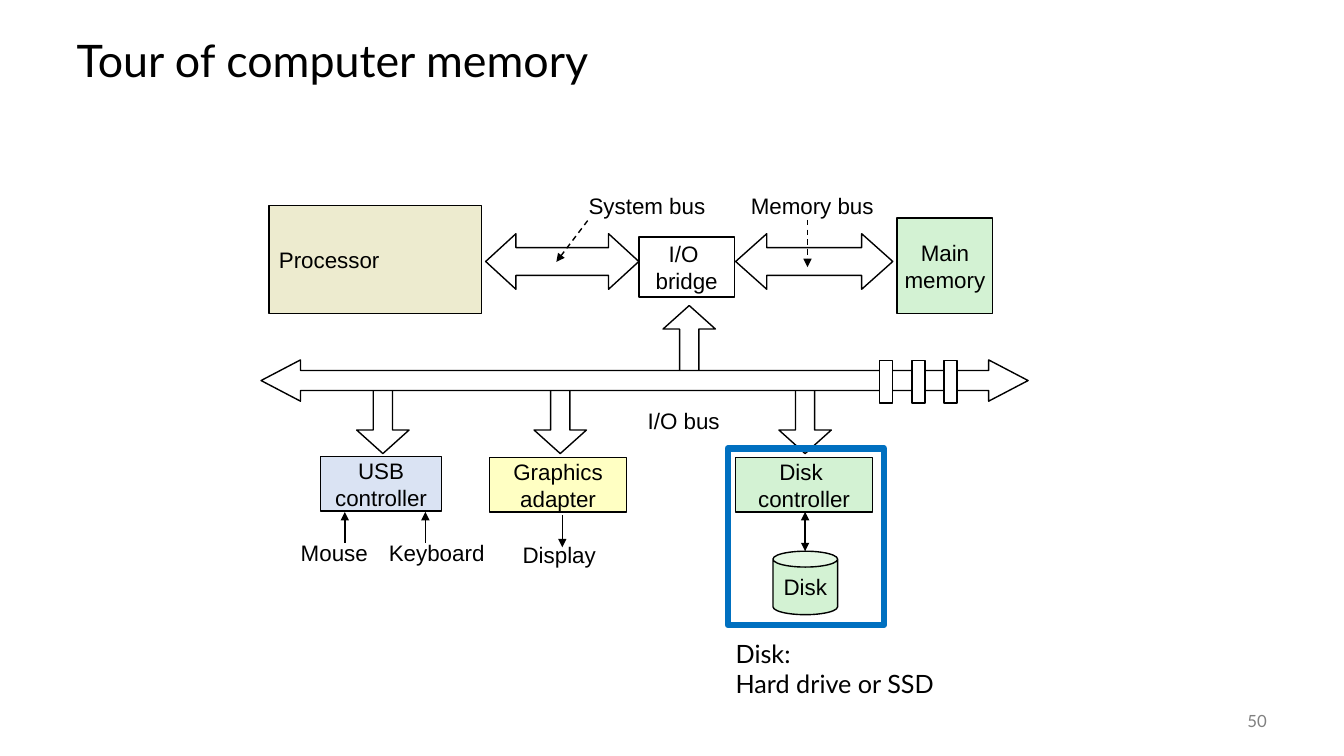
"""Build the slide on the tour of computer memory."""
from lxml import etree
from pptx import Presentation
from pptx.dml.color import RGBColor
from pptx.enum.dml import MSO_LINE
from pptx.enum.shapes import MSO_CONNECTOR, MSO_SHAPE
from pptx.enum.text import MSO_ANCHOR, MSO_AUTO_SIZE, PP_ALIGN
from pptx.oxml.ns import qn
from pptx.util import Cm, Pt

BOX, CAN = MSO_SHAPE.RECTANGLE, MSO_SHAPE.CAN
BOTH_WAYS = MSO_SHAPE.LEFT_RIGHT_ARROW
UP, DOWN = MSO_SHAPE.UP_ARROW, MSO_SHAPE.DOWN_ARROW
STRAIGHT, DASH = MSO_CONNECTOR.STRAIGHT, MSO_LINE.DASH
LEFT, CENTER, RIGHT = PP_ALIGN.LEFT, PP_ALIGN.CENTER, PP_ALIGN.RIGHT
TOP, MIDDLE = MSO_ANCHOR.TOP, MSO_ANCHOR.MIDDLE
NO_FIT = MSO_AUTO_SIZE.NONE

BLACK, WHITE, GRAY, BLUE = "000000", "FFFFFF", "808080", "0070C0"
GREEN, BEIGE, YELLOW, PALE_BLUE = "D3F2D3", "EDEBCF", "FFFFC3", "DAE3F3"
DIAGRAM_FONT, SLIDE_FONT = "Arial", "Lato"


def color(value):
    """Turn a hex string into a colour."""
    return RGBColor.from_string(value)


def assign(target, values):
    """Set each attribute of the target from a dict."""
    for name, value in values.items():
        setattr(target, name, value)


class Diagram:
    """Hold the style and the current slide of the memory diagram."""

    def __init__(self, slide):
        """Keep the slide and the style of the diagram text."""
        self.slide = slide
        self.label_font = {"name": DIAGRAM_FONT, "size": Pt(16)}

    def set_text(self, holder, text, font=None, ink=BLACK, align=CENTER,
                 anchor=MIDDLE, wrap=False):
        """Fill a shape with formatted text."""
        frame = holder.text_frame
        frame.text = text
        assign(frame, {"word_wrap": wrap, "auto_size": NO_FIT,
                       "vertical_anchor": anchor})
        for paragraph in frame.paragraphs:
            paragraph.alignment = align
            for run in paragraph.runs:
                assign(run.font, font or self.label_font)
                run.font.color.rgb = color(ink)

    def title(self, text, area):
        """Move and format the title placeholder."""
        heading = self.slide.shapes.title
        assign(heading, dict(zip(("left", "top", "width", "height"), map(Cm, area))))
        self.set_text(heading, text, {"name": SLIDE_FONT, "size": Pt(32)},
                      align=LEFT, wrap=True)
        heading.text_frame.paragraphs[0].line_spacing = 0.9

    def label(self, text, area, **style):
        """Add a text box."""
        self.set_text(self.slide.shapes.add_textbox(*map(Cm, area)), text, **style)

    def shape(self, kind, area, fill=None, text="", adjust=(), edge=BLACK,
              weight=1, align=CENTER):
        """Add an outlined preset shape."""
        part = self.slide.shapes.add_shape(kind, *map(Cm, area))
        part.shadow.inherit = False
        if fill:
            part.fill.solid()
            part.fill.fore_color.rgb = color(fill)
        else:
            part.fill.background()
        part.line.color.rgb = color(edge)
        part.line.width = Pt(weight)
        for index, value in enumerate(adjust):
            part.adjustments[index] = value
        if text:
            self.set_text(part, text, align=align)

    def arrow(self, ends, heads, dash=None):
        """Add a thin line with arrowheads at the given ends."""
        link = self.slide.shapes.add_connector(STRAIGHT, *map(Cm, ends))
        link.line.color.rgb = color(BLACK)
        assign(link.line, {"width": Pt(1), "dash_style": dash})
        properties = link.element.spPr
        outline = properties.find(qn("a:ln"))
        for head in heads:
            etree.SubElement(outline, qn(f"a:{head}")).set("type", "triangle")
        etree.SubElement(properties, qn("a:effectLst"))


def main():
    """Draw the slide and save it."""
    deck = Presentation()
    assign(deck, {"slide_width": Cm(33.87), "slide_height": Cm(19.05)})
    diagram = Diagram(deck.slides.add_slide(deck.slide_layouts[5]))
    diagram.title("Tour of computer memory", (1.68, 0.64, 30.48, 1.9))
    diagram.label("50", (29.64, 17.65, 2.54, 1.02), ink=GRAY, align=RIGHT, wrap=True,
                  font={"name": SLIDE_FONT, "size": Pt(12)})

    diagram.shape(BOX, (6.78, 5.18, 5.36, 2.72), BEIGE, "Processor", align=LEFT)
    diagram.shape(BOX, (16.1, 5.97, 2.41, 1.52), text="I/O \nbridge")
    diagram.shape(BOX, (22.61, 5.49, 2.41, 2.41), GREEN, "Main\nmemory")
    for left, width, point in ((12.24, 3.86, 0.545), (18.54, 3.96, 0.56)):
        diagram.shape(BOTH_WAYS, (left, 5.89, width, 1.4), adjust=(0.5, point))

    branches = ((UP, 16.71, 7.7), (DOWN, 8.99, 9.63),
                (DOWN, 13.46, 9.63), (DOWN, 19.63, 9.63))
    for direction, left, top in branches:
        diagram.shape(direction, (left, top, 1.32, 1.8), adjust=(0.367, 0.449))
    diagram.shape(BOTH_WAYS, (6.58, 9.07, 19.33, 1.04), WHITE, adjust=(0.486, 0.955))
    for slot in range(3):
        diagram.shape(BOX, (22.17 + 0.81 * slot, 9.09, 0.33, 1.07), WHITE)

    controllers = (
        ("USB\ncontroller", 8.08, 11.51, 3.05, PALE_BLUE),
        ("Graphics\nadapter", 12.34, 11.53, 3.45, YELLOW),
        ("Disk \ncontroller", 18.54, 11.53, 3.45, GREEN),
    )
    for name, left, top, width, fill in controllers:
        diagram.shape(BOX, (left, top, width, 1.37), fill, name)
    diagram.shape(CAN, (19.48, 13.89, 1.63, 1.6), GREEN, "Disk", adjust=(0.25,))

    labels = (
        ("System bus", 14.55, 4.7, 3.51),
        ("Memory bus", 18.64, 4.7, 3.66),
        ("I/O bus", 16.05, 10.13, 2.36),
        ("Mouse", 7.32, 13.46, 2.21),
        ("Keyboard", 9.53, 13.46, 2.95),
        ("Display", 12.9, 13.51, 2.39),
    )
    for name, left, top, width in labels:
        diagram.label(name, (left, top, width, 0.94))

    for pointer in ((14.81, 5.56, 14.02, 6.6), (20.35, 5.54, 20.35, 6.73)):
        diagram.arrow(pointer, ["tailEnd"], DASH)
    for device in (8.69, 10.72):
        diagram.arrow((device, 12.9, device, 13.69), ["headEnd"])
    diagram.arrow((14.17, 12.98, 14.17, 13.79), ["tailEnd"])
    diagram.arrow((20.29, 12.9, 20.29, 13.89), ["headEnd", "tailEnd"])

    diagram.shape(BOX, (18.34, 11.3, 3.94, 4.45), edge=BLUE, weight=4.5)
    diagram.label("Disk:\vHard drive or SSD", (18.29, 15.95, 6.12, 1.8), align=LEFT,
                  anchor=TOP, wrap=True, font={"name": SLIDE_FONT, "size": Pt(18)})
    deck.save("out.pptx")


if __name__ == "__main__":
    main()
